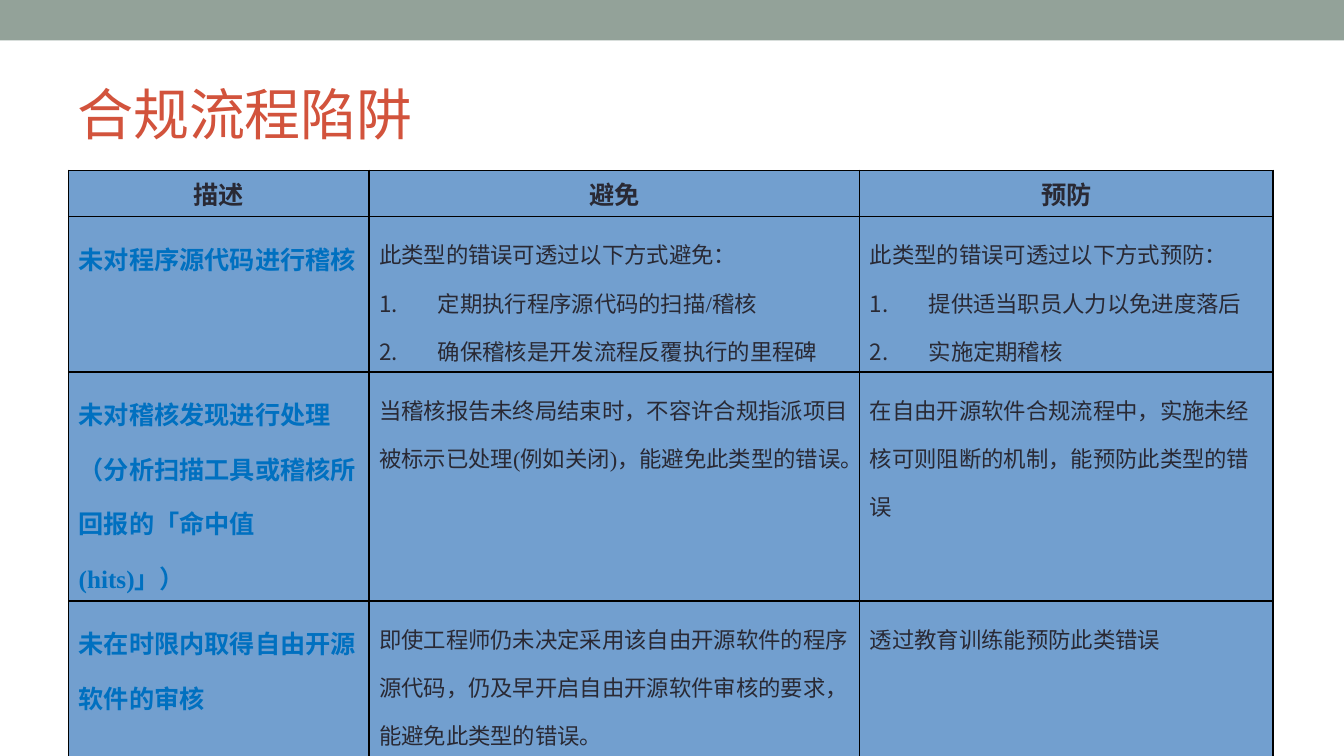
from lxml.etree import SubElement
from pptx import Presentation
from pptx.dml.color import RGBColor
from pptx.enum.shapes import MSO_SHAPE as Shape
from pptx.enum.text import MSO_ANCHOR as Anchor, PP_ALIGN as Align
from pptx.oxml.ns import qn
from pptx.util import Cm, Pt

TITLE = "合规流程陷阱"
HEADINGS = ["描述", "避免", "预防"]
PITFALLS = [
    (
        ["未对程序源代码进行稽核"],
        [
            "此类型的错误可透过以下方式避免：",
            "定期执行程序源代码的扫描/稽核",
            "确保稽核是开发流程反覆执行的里程碑",
        ],
        [
            "此类型的错误可透过以下方式预防：",
            "提供适当职员人力以免进度落后",
            "实施定期稽核",
        ],
    ),
    (
        ["未对稽核发现进行处理（分析扫描工具或稽核所回报的「命中值(hits)」）"],
        ["当稽核报告未终局结束时，不容许合规指派项目被标示已处理(例如关闭)，能避免此类型的错误。"],
        ["在自由开源软件合规流程中，实施未经核可则阻断的机制，能预防此类型的错误"],
    ),
    (
        ["未在时限内取得自由开源软件的审核"],
        ["即使工程师仍未决定采用该自由开源软件的程序源代码，仍及早开启自由开源软件审核的要求，能避免此类型的错误。"],
        ["透过教育训练能预防此类错误"],
    ),
]
COLUMN_WIDTHS = [7.57, 12.37, 10.41]
ROW_HEIGHTS = [1.17, 3.91, 5.77, 3.91]

FONT = "Times New Roman"
BAR, TITLE_RED, CELL_BLUE = "93A299", "D2533C", "729FCF"
INK, TOPIC_BLUE, BORDER = "292934", "0070C0", "000000"


def rgb(color):
    return RGBColor.from_string(color)


def style(paragraph, size, color, bold=False):
    for run in paragraph.runs:
        run.font.name = FONT
        run.font.size = Pt(size)
        run.font.bold = bold
        run.font.color.rgb = rgb(color)


def number(paragraph):
    properties = paragraph._p.get_or_add_pPr()
    properties.set("marL", str(Cm(1.48)))
    properties.set("indent", str(-Cm(1.48)))
    bullet_color = SubElement(properties, qn("a:buClr"))
    SubElement(bullet_color, qn("a:srgbClr"), val=INK)
    SubElement(properties, qn("a:buFont"), typeface="+mj-lt")
    SubElement(properties, qn("a:buAutoNum"), type="arabicPeriod")


def frame_cell(cell):
    properties = cell._tc.get_or_add_tcPr()
    for side in ("lnL", "lnR", "lnT", "lnB"):
        line = SubElement(properties, qn(f"a:{side}"), w=str(Pt(0.96)))
        line_fill = SubElement(line, qn("a:solidFill"))
        SubElement(line_fill, qn("a:srgbClr"), val=BORDER)
    cell.fill.solid()
    cell.fill.fore_color.rgb = rgb(CELL_BLUE)


def fill_cell(cell, lines, is_heading, is_topic):
    frame_cell(cell)
    cell.text_frame.text = "\n".join(lines)
    for position, paragraph in enumerate(cell.text_frame.paragraphs):
        if position:
            number(paragraph)
        if is_heading:
            paragraph.alignment = Align.CENTER
            style(paragraph, 18, INK, bold=True)
            continue
        paragraph.line_spacing = 1.5
        if is_topic:
            style(paragraph, 18, TOPIC_BLUE, bold=True)
        else:
            style(paragraph, 16, INK)


def main():
    deck = Presentation()
    deck.slide_width, deck.slide_height = Cm(33.87), Cm(19.05)
    slide = deck.slides.add_slide(deck.slide_layouts[5])

    bar = slide.shapes.add_shape(Shape.RECTANGLE, 0, 0, deck.slide_width, Cm(1.02))
    bar.shadow.inherit = False
    bar.fill.solid()
    bar.fill.fore_color.rgb = rgb(BAR)
    bar.line.fill.background()

    title = slide.shapes.title
    title.left, title.top, title.width, title.height = Cm(1.69), Cm(1.48), Cm(30.48), Cm(2.74)
    title.text_frame.text = TITLE
    title.text_frame.vertical_anchor = Anchor.MIDDLE
    heading = title.text_frame.paragraphs[0]
    heading.alignment = Align.LEFT
    style(heading, 40, TITLE_RED)

    rows = [[[text] for text in HEADINGS], *PITFALLS]
    table = slide.shapes.add_table(
        len(rows), len(HEADINGS), Cm(1.73), Cm(4.29),
        Cm(sum(COLUMN_WIDTHS)), Cm(sum(ROW_HEIGHTS)),
    ).table
    for column, width in zip(table.columns, COLUMN_WIDTHS):
        column.width = Cm(width)
    for row, height in zip(table.rows, ROW_HEIGHTS):
        row.height = Cm(height)
    for r, row in enumerate(rows):
        for c, lines in enumerate(row):
            fill_cell(table.cell(r, c), lines, r == 0, c == 0)

    deck.save("out.pptx")


if __name__ == "__main__":
    main()
